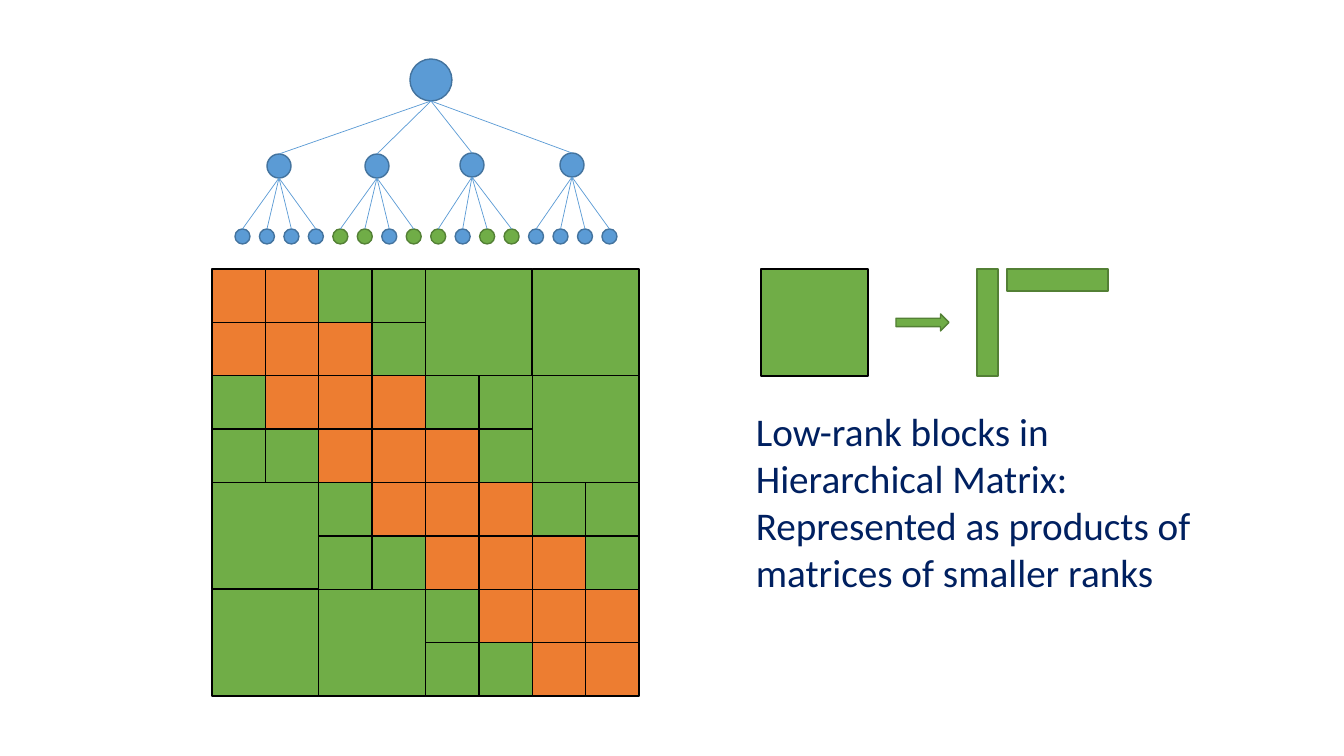
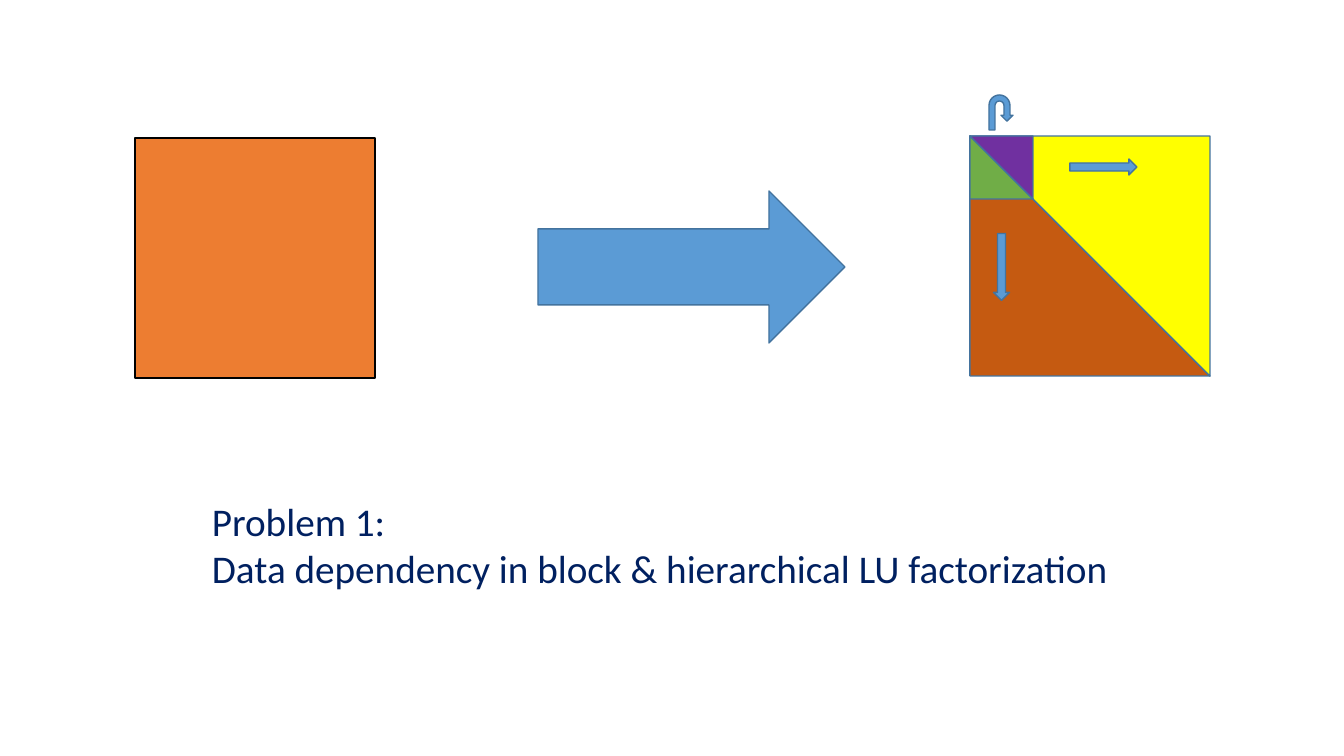
from lxml import etree
from pptx import Presentation
from pptx import util as u
from pptx.dml.color import RGBColor
from pptx.enum import shapes, text
from pptx.oxml.ns import qn

PX = 914400 / 100.8
FONT, TEXT_SIZE = "Calibri", 28
BLUE, BLUE_EDGE = RGBColor(0x5B, 0x9B, 0xD5), RGBColor(0x43, 0x73, 0x9E)
GREEN, GREEN_EDGE = RGBColor(0x70, 0xAD, 0x47), RGBColor(0x53, 0x80, 0x35)
ORANGE, BLACK = RGBColor(0xED, 0x7D, 0x31), RGBColor(0, 0, 0)
RUST, YELLOW = RGBColor(0xC5, 0x5A, 0x11), RGBColor(0xFF, 0xFF, 0)
PURPLE, NAVY = RGBColor(0x70, 0x30, 0xA0), RGBColor(0, 0x20, 0x60)

KIND = shapes.MSO_SHAPE
RECT, OVAL, ARROW = KIND.RECTANGLE, KIND.OVAL, KIND.RIGHT_ARROW
TRIANGLE, UTURN = KIND.RIGHT_TRIANGLE, KIND.U_TURN_ARROW

# Cluster tree: node circles as (left, top, diameter)
ROOT = (410, 59, 42)
BRANCHES = [(267, 154, 24), (365, 154, 24), (460, 153, 24), (560, 153, 24)]
LEAVES = "bbbbggbggbggbbbb"
LEAF_LEFT, LEAF_TOP, LEAF_SIZE, LEAF_SPAN = 235, 229, 15, 367

# Block matrix: o dense cell, g low-rank cell, G low-rank 2 x 2 block, . covered by a G
MATRIX = [
    "ooggG.G.",
    "ooog....",
    "goooggG.",
    "ggooog..",
    "G.gooogg",
    "..ggooog",
    "G.G.gooo",
    "....ggoo",
]
MATRIX_LEFT, MATRIX_TOP, MATRIX_SIZE = 212, 269, 427
BLOCKS = {"o": (ORANGE, 1), "g": (GREEN, 1), "G": (GREEN, 2)}

# Shape lists: kind, (left, top, width, height), fill, edge, rotation
LOW_RANK = [
    (ARROW, (896, 314, 53, 17), GREEN, GREEN_EDGE, 0),
    (RECT, (977, 269, 21, 107), GREEN, GREEN_EDGE, 0),
    (RECT, (1007, 269, 101, 22), GREEN, GREEN_EDGE, 0),
    (RECT, (761, 269, 107, 107), GREEN, BLACK, 0),
]
LU_BOX, LU_CORNER = (970, 136, 240, 240), (970, 136, 63, 63)
FACTORIZATION = [
    (RECT, (135, 138, 240, 240), ORANGE, BLACK, 0),
    (ARROW, (538, 191, 307, 152), BLUE, BLUE_EDGE, 0),
    (TRIANGLE, LU_BOX, RUST, BLUE_EDGE, 0),
    (TRIANGLE, LU_BOX, YELLOW, BLUE_EDGE, 180),
    (TRIANGLE, LU_CORNER, GREEN, BLUE_EDGE, 0),
    (TRIANGLE, LU_CORNER, PURPLE, BLUE_EDGE, 180),
    (ARROW, (968, 259, 67, 16), BLUE, BLUE_EDGE, 90),
    (ARROW, (1070, 159, 67, 16), BLUE, BLUE_EDGE, 0),
]
CORNER_LOOP = (UTURN, (989, 95, 24, 35), BLUE, BLUE_EDGE, 0)

LOW_RANK_TEXT = [
    "Low-rank blocks in Hierarchical Matrix:",
    "Represented as products of matrices of smaller ranks",
]
PROBLEM_TEXT = [
    "Problem 1:",
    "Data dependency in block & hierarchical LU factorization",
]


def emu(*pixels):
    """Turn pixel lengths into EMU."""
    return [u.Emu(round(v * PX)) for v in pixels]


def add_form(parent, kind, box, fill, edge, rotation=0):
    """Add one filled and outlined preset shape."""
    sp = parent.add_shape(kind, *emu(*box))
    sp.shadow.inherit = False
    sp.fill.solid()
    sp.fill.fore_color.rgb = fill
    sp.line.color.rgb = edge
    sp.line.width = u.Pt(1)
    sp.rotation = rotation


def add_node(parent, circle, fill=BLUE, edge=BLUE_EDGE):
    """Add one tree node."""
    left, top, size = circle
    add_form(parent, OVAL, (left, top, size, size), fill, edge)


def add_edge(parent, upper, lower):
    """Join the bottom of one node to the top of another."""
    (x1, y1, d1), (x2, y2, d2) = upper, lower
    ends = emu(x1 + d1 / 2, y1 + d1, x2 + d2 / 2, y2)
    line = parent.add_connector(shapes.MSO_CONNECTOR.STRAIGHT, *ends)
    line.line.color.rgb = BLUE
    line.line.width = u.Pt(0.5)
    props = line._element.find(qn("p:spPr"))
    etree.SubElement(props, qn("a:effectLst"))


def add_tree(parent):
    """Draw the cluster tree: nodes first, then edges."""
    step = LEAF_SPAN / (len(LEAVES) - 1)
    leaves = [(LEAF_LEFT + i * step, LEAF_TOP, LEAF_SIZE) for i in range(len(LEAVES))]
    for node in [ROOT, *BRANCHES]:
        add_node(parent, node)
    for leaf, mark in zip(leaves, LEAVES):
        colours = (GREEN, GREEN_EDGE) if mark == "g" else (BLUE, BLUE_EDGE)
        add_node(parent, leaf, *colours)
    fan = len(leaves) // len(BRANCHES)
    for i, leaf in enumerate(leaves):
        add_edge(parent, BRANCHES[i // fan], leaf)
    for branch in BRANCHES:
        add_edge(parent, ROOT, branch)


def add_matrix(parent):
    """Draw the block matrix from its letter grid."""
    cell = MATRIX_SIZE / len(MATRIX)
    for row, marks in enumerate(MATRIX):
        for col, mark in enumerate(marks):
            if mark in BLOCKS:
                fill, span = BLOCKS[mark]
                box = (MATRIX_LEFT + col * cell, MATRIX_TOP + row * cell,
                       span * cell, span * cell)
                add_form(parent, RECT, box, fill, BLACK)


def add_text(s, box, lines):
    """Add a text box with one paragraph for each line."""
    tf = s.shapes.add_textbox(*emu(*box)).text_frame
    tf.word_wrap = True
    tf.auto_size = text.MSO_AUTO_SIZE.SHAPE_TO_FIT_TEXT
    tf.text = "\n".join(lines)
    for p in tf.paragraphs:
        for r in p.runs:
            r.font.name = FONT
            r.font.size = u.Pt(TEXT_SIZE)
            r.font.color.rgb = NAVY


def add_group(s, forms=()):
    """Add a group holding the given shapes and return its shape list."""
    group = s.shapes.add_group_shape().shapes
    for form in forms:
        add_form(group, *form)
    return group


prs = Presentation()
prs.slide_width, prs.slide_height = emu(1344, 756)
blank = prs.slide_layouts[6]

s = prs.slides.add_slide(blank)
add_tree(add_group(s))
add_matrix(add_group(s))
add_group(s, LOW_RANK)
add_text(s, (746, 402, 507, 201), LOW_RANK_TEXT)

s = prs.slides.add_slide(blank)
add_group(s, FACTORIZATION)
add_text(s, (202, 492, 940, 105), PROBLEM_TEXT)
add_form(s.shapes, *CORNER_LOOP)

prs.save("out.pptx")
